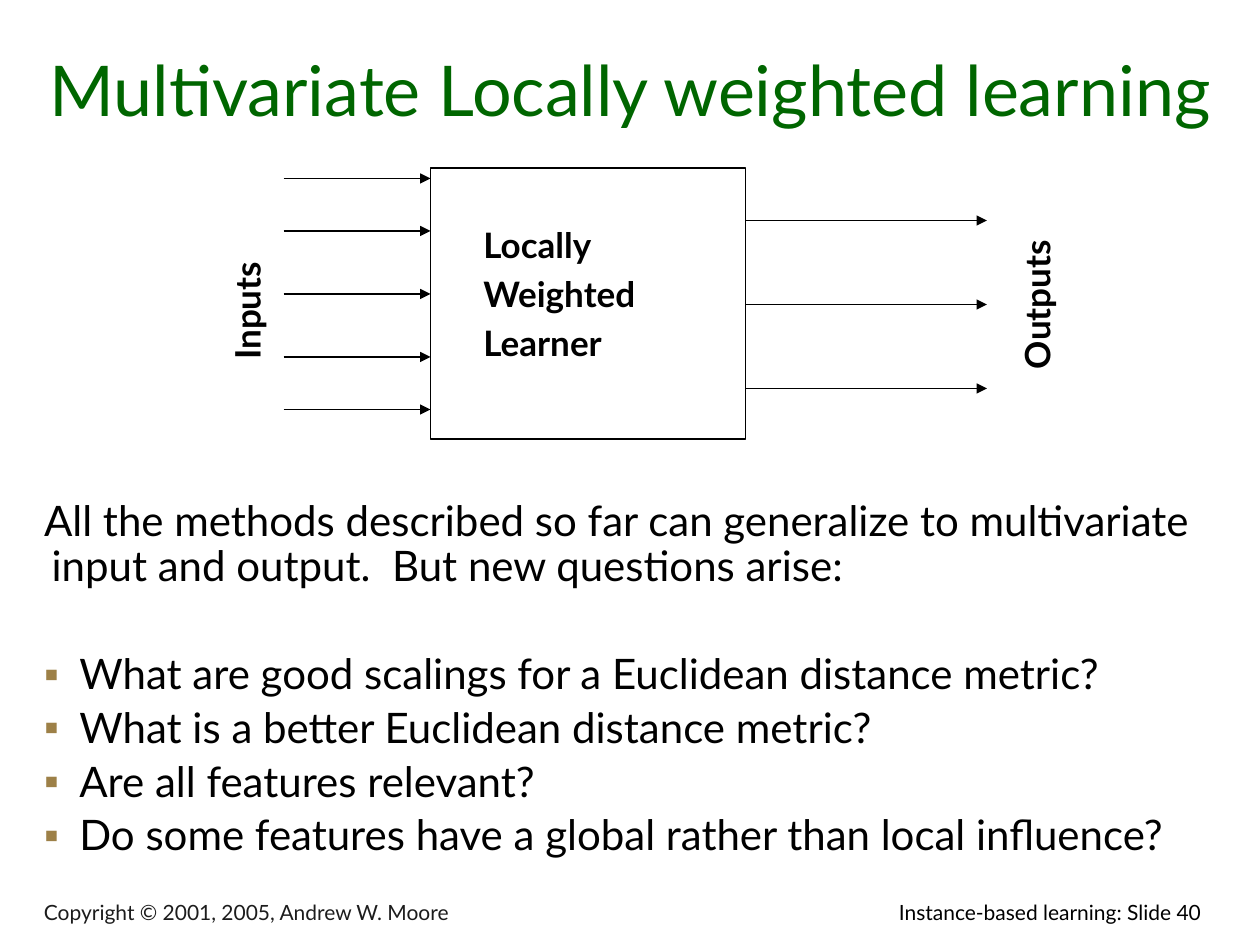
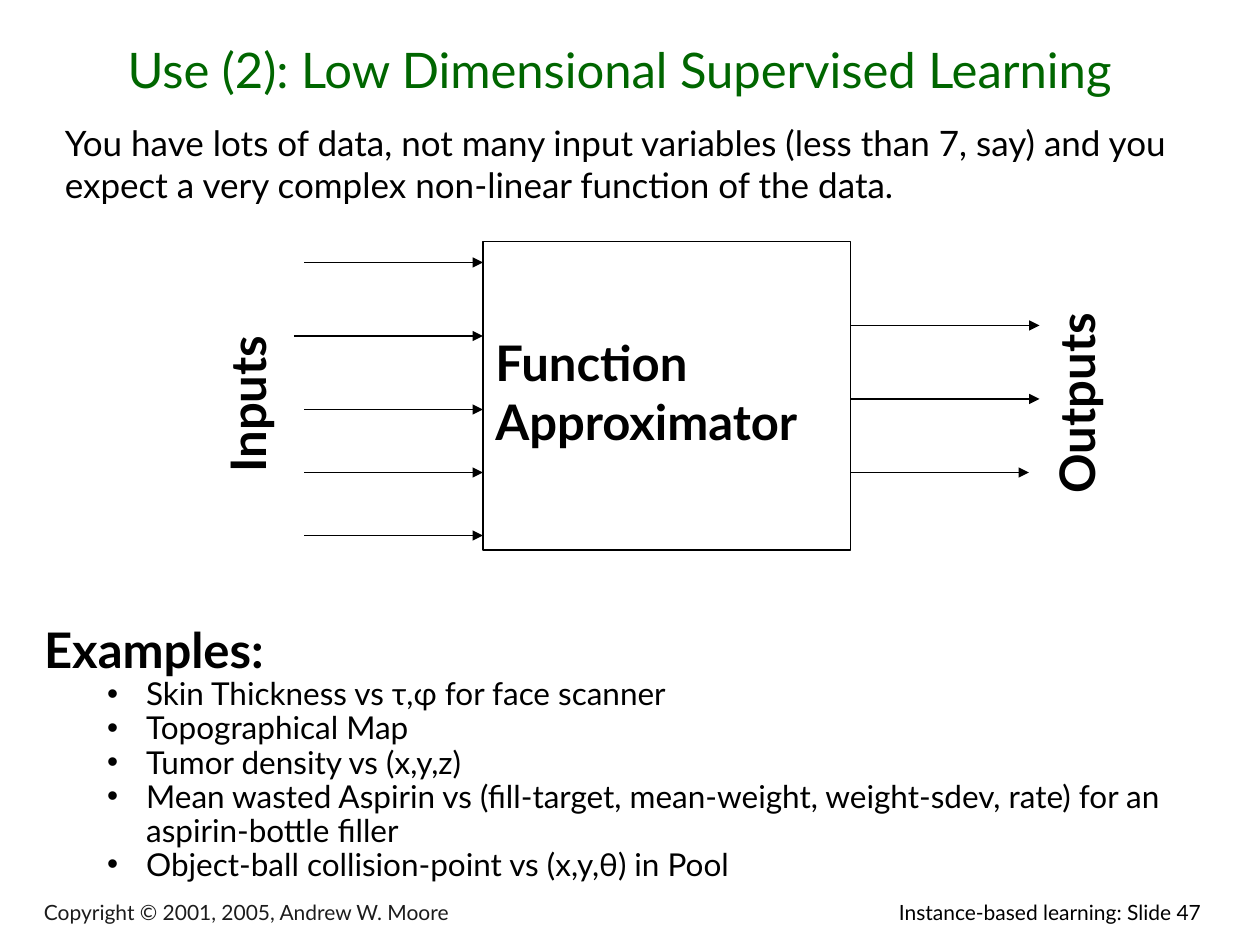
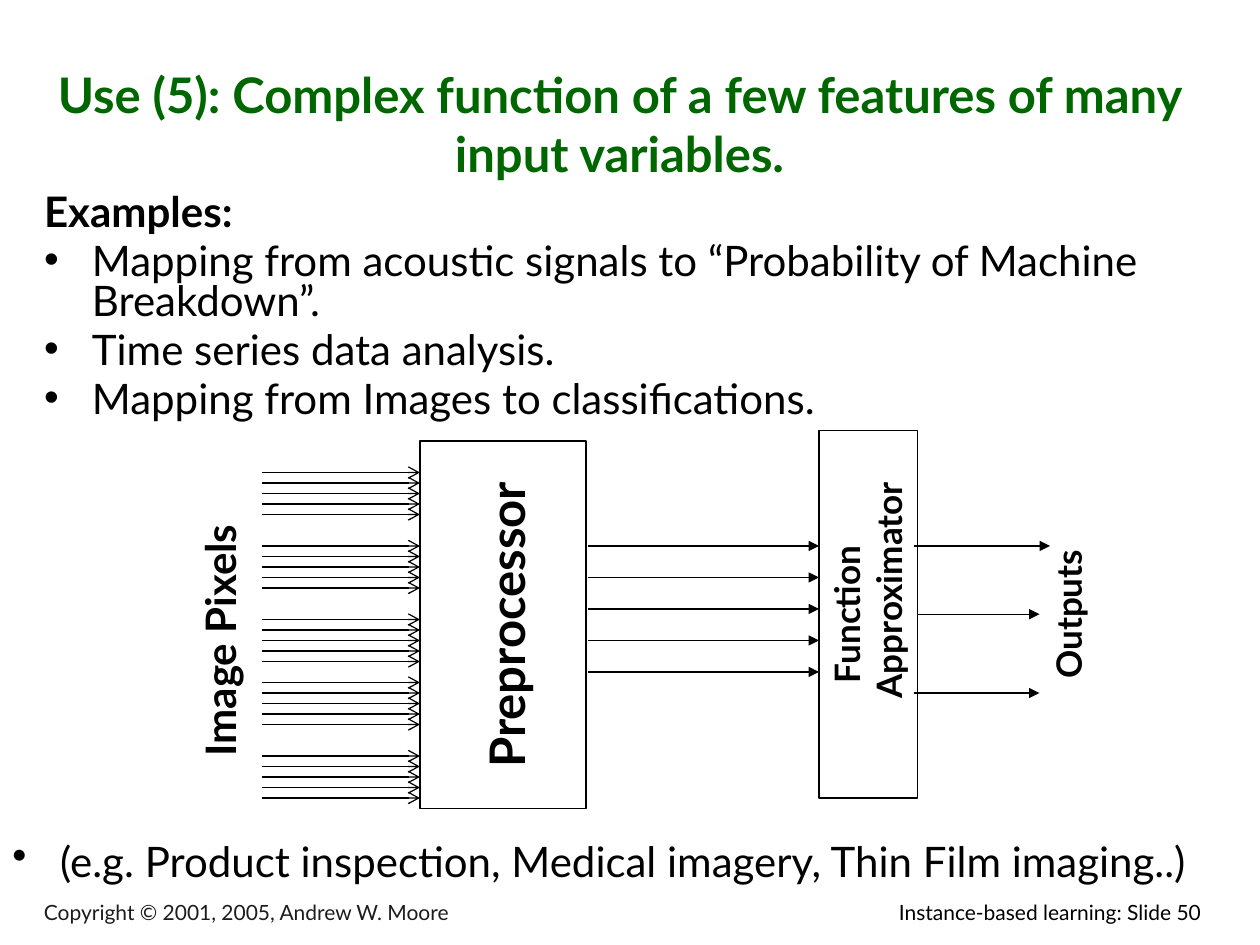
import dataclasses
import pptx
import pptx.dml.color
import pptx.enum.shapes
import pptx.enum.text
import pptx.oxml.ns
import pptx.util
from lxml import etree

ALIGN = pptx.enum.text.PP_ALIGN
ANCHOR = pptx.enum.text.MSO_ANCHOR
qn = pptx.oxml.ns.qn


@dataclasses.dataclass(frozen=True)
class Theme:
    font: str = "Lato"
    ink: str = "000000"
    title: str = "006600"
    footer: str = "1C1C1C"
    square: str = "9D8047"
    tiny: int = 12
    small: int = 18
    label: int = 20
    text: int = 24
    large: int = 28
    huge: int = 40
    thin: float = 0.75
    outline: float = 1


T = Theme()
CELL = pptx.util.Inches(10) / 120  # the grid has 120 columns and 90 rows
HANG = 0.38  # hanging indent in inches

# Paragraph formats
LEAD = dict(size=T.text, left=0.06, hang=0.06, spacing=0.9)
SQUARE = dict(size=T.text, left=0.28, hang=0.28, spacing=0.9, before=0.2 * T.text,
              bullet="▪", bullet_color=T.square)
SQUARE_AFTER_GAP = SQUARE | dict(before=36)
HEADING = dict(size=T.large, bold=True, left=HANG, hang=HANG, spacing=0.9)
SUBITEM = dict(size=T.small, level=1, left=0.81, hang=0.31, spacing=0.9, bullet="•")
TIGHT_HEADING = HEADING | dict(size=T.text, spacing=0.8)
TIGHT_ITEM = dict(size=T.text, left=HANG, hang=HANG, spacing=0.8,
                  before=0.2 * T.text, bullet="•")
NOTE = dict(size=T.text, left=HANG, hang=HANG, bullet="•")
LABEL = dict(size=T.label, bold=True, align=ALIGN.CENTER, left=HANG, hang=HANG)
BOX_LINE = dict(size=T.label, bold=True)


def rgb(color):
    return pptx.dml.color.RGBColor.from_string(color)


def grid(*cells):
    return [round(c * CELL) for c in cells]


def set_all(obj, values):
    for name, value in values.items():
        setattr(obj, name, value)


def format_paragraph(p, text, size, color=T.ink, bold=False, align=ALIGN.LEFT, level=0,
                     left=0, hang=0, spacing=1.0, before=0, bullet=None,
                     bullet_color=T.ink):
    set_all(p, dict(alignment=align, level=level, line_spacing=spacing,
                    space_before=pptx.util.Pt(before)))
    pPr = p._p.get_or_add_pPr()
    pPr.set("marL", str(pptx.util.Inches(left)))
    pPr.set("indent", str(-pptx.util.Inches(hang)))
    if bullet:
        clr = etree.SubElement(pPr, qn("a:buClr"))
        etree.SubElement(clr, qn("a:srgbClr"), val=bullet_color)
        etree.SubElement(pPr, qn("a:buChar"), char=bullet)
    else:
        etree.SubElement(pPr, qn("a:buNone"))
    r = p.add_run()
    r.text = text
    set_all(r.font, dict(name=T.font, size=pptx.util.Pt(size), bold=bold))
    r.font.color.rgb = rgb(color)


def fill_text(sp, items, anchor=ANCHOR.TOP, **frame):
    """Write (text, format) pairs into a shape."""
    tf = sp.text_frame
    set_all(tf, dict(word_wrap=True, auto_size=pptx.enum.text.MSO_AUTO_SIZE.NONE,
                     vertical_anchor=anchor) | frame)
    for i, (text, style) in enumerate(items):
        p = tf.add_paragraph() if i else tf.paragraphs[0]
        format_paragraph(p, text, **style)


def place(sp, cells):
    set_all(sp, dict(zip(("left", "top", "width", "height"), grid(*cells))))


def stand_up(cells):
    """Frame that covers the given cells once it is turned by 270 degrees."""
    x, y, w, h = cells
    return x + (w - h) / 2, y + (h - w) / 2, h, w


def add_text(s, cells, text, style, anchor=ANCHOR.TOP):
    sp = s.shapes.add_textbox(*grid(*cells))
    fill_text(sp, [(text, style)], anchor)
    return sp


def add_vertical_label(s, cells, text, size=T.label):
    sp = add_text(s, stand_up(cells), text, LABEL | dict(size=size))
    sp.rotation = 270


def add_box(s, cells, items, upright=False, **frame):
    sp = s.shapes.add_shape(pptx.enum.shapes.MSO_SHAPE.RECTANGLE,
                            *grid(*(stand_up(cells) if upright else cells)))
    sp.rotation = 270 if upright else 0
    sp.shadow.inherit = False
    sp.fill.background()
    sp.line.color.rgb = rgb(T.ink)
    sp.line.width = pptx.util.Pt(T.outline)
    fill_text(sp, items, **frame)


def add_arrows(s, x1, x2, rows, head="triangle"):
    """Draw one level arrow on each row."""
    for y in rows:
        cx = s.shapes.add_connector(pptx.enum.shapes.MSO_CONNECTOR.STRAIGHT,
                                    *grid(x1, y, x2, y))
        cx.line.color.rgb = rgb(T.ink)
        cx.line.width = pptx.util.Pt(T.thin)
        etree.SubElement(cx.line._get_or_add_ln(), qn("a:tailEnd"), type=head)
        etree.SubElement(cx._element.spPr, qn("a:effectLst"))


def add_slide(prs, number, title, title_cells, title_style, body, body_cells):
    """Slide with the shared footers, a title and a body list."""
    s = prs.slides.add_slide(prs.slide_layouts[1])
    add_text(s, (68.6, 85.1, 47, 3.6), f"Instance-based learning: Slide {number}",
             dict(size=T.tiny, align=ALIGN.RIGHT))
    add_text(s, (3, 85.3, 66.6, 3.4), "Copyright © 2001, 2005, Andrew W. Moore",
             dict(size=T.tiny, color=T.footer), ANCHOR.BOTTOM)
    place(s.shapes.title, title_cells)
    style = dict(size=T.large, color=T.title, align=ALIGN.CENTER) | title_style
    fill_text(s.shapes.title, [(title, style)], ANCHOR.BOTTOM)
    place(s.placeholders[1], body_cells)
    fill_text(s.placeholders[1], body)
    return s


def multivariate_slide(prs):
    body = [
        ("All the methods described so far can generalize to multivariate input and "
         "output.  But new questions arise:", LEAD),
        ("What are good scalings for a Euclidean distance metric?", SQUARE_AFTER_GAP),
        ("What is a better Euclidean distance metric?", SQUARE),
        ("Are all features relevant?", SQUARE),
        ("Do some features have a global rather than local influence?", SQUARE),
    ]
    s = add_slide(prs, 40, "Multivariate Locally weighted learning", (0, 3, 120, 10),
                  dict(size=T.huge), body, (3, 47, 112.5, 38))
    add_vertical_label(s, (20.9, 13.1, 5.2, 33), "Inputs")
    add_vertical_label(s, (96.1, 14, 5.2, 30), "Outputs")
    spaced = BOX_LINE | dict(before=0.2 * T.label)
    add_box(s, (41, 16, 30, 25.8),
            [("Locally", BOX_LINE), ("Weighted", spaced), ("Learner", spaced)],
            margin_top=pptx.util.Inches(0.44), margin_left=pptx.util.Inches(0.42))
    add_arrows(s, 27, 41, (17, 22, 28, 34, 39))
    add_arrows(s, 71, 94, (21, 29, 37))


def low_dimensional_slide(prs):
    examples = [
        "Skin Thickness vs τ,φ for face scanner",
        "Topographical Map",
        "Tumor density vs (x,y,z)",
        "Mean wasted Aspirin vs (fill-target, mean-weight, weight-sdev, rate) for an "
        "aspirin-bottle filler",
        "Object-ball collision-point vs (x,y,θ) in Pool",
    ]
    body = [("Examples:", HEADING)] + [(text, SUBITEM) for text in examples]
    s = add_slide(prs, 47, "Use (2): Low Dimensional Supervised Learning",
                  (3, 3, 112, 7), {}, body, (3, 59, 112.5, 26))
    add_text(s, (5, 11, 108, 9.2),
             "You have lots of data, not many input variables (less than 7, say) and you "
             "expect a very complex non-linear function of the data.", dict(size=T.label))
    add_vertical_label(s, (20.1, 25, 6.8, 27), "Inputs", T.large)
    add_vertical_label(s, (99.1, 20.9, 6.8, 35), "Outputs", T.large)
    add_box(s, (46, 23, 35, 29.4),
            [("Function Approximator", BOX_LINE | dict(size=T.large))],
            margin_top=pptx.util.Inches(0.72))
    add_arrows(s, 29, 46, (25, 39, 45, 51))
    add_arrows(s, 28, 46, (32,))
    add_arrows(s, 81, 99, (31, 38))
    add_arrows(s, 81, 98, (45,))


def complex_function_slide(prs):
    body = [
        ("Examples:", TIGHT_HEADING),
        ("Mapping from acoustic signals to “Probability of Machine Breakdown”.",
         TIGHT_ITEM),
        ("Time series data analysis.", TIGHT_ITEM),
        ("Mapping from Images to classifications.", TIGHT_ITEM),
    ]
    s = add_slide(prs, 50, "Use (5): Complex function of a few features of many input "
                  "variables.", (3, 3, 112, 15), dict(bold=True), body,
                  (3, 18, 112.5, 24))
    # Pixels, preprocessor, approximator, outputs
    add_vertical_label(s, (17.9, 44, 6, 34), "Image Pixels", T.text)
    add_box(s, (40, 42, 15.8, 35), [("Preprocessor", LABEL | dict(size=T.large))],
            upright=True, margin_top=pptx.util.Inches(0.45))
    add_box(s, (78, 41, 9.4, 35), [("Function Approximator", LABEL)], upright=True)
    add_vertical_label(s, (99.1, 46, 5.2, 25), "Outputs")
    # Five bundles of five pixel lines
    for first in (45, 52, 59, 65, 72):
        add_arrows(s, 25, 40, range(first, first + 5), "arrow")
    add_arrows(s, 56, 78, range(52, 65, 3))
    add_arrows(s, 87, 100, (52,))
    add_arrows(s, 87.4, 99, (58.5,))
    add_arrows(s, 87, 99, (66,))
    add_text(s, (0, 79, 120, 6),
             "(e.g. Product inspection, Medical imagery, Thin Film imaging..)", NOTE)


def main():
    prs = pptx.Presentation()
    prs.slide_width = pptx.util.Inches(10)
    prs.slide_height = pptx.util.Inches(7.5)
    multivariate_slide(prs)
    low_dimensional_slide(prs)
    complex_function_slide(prs)
    prs.save("out.pptx")


main()
